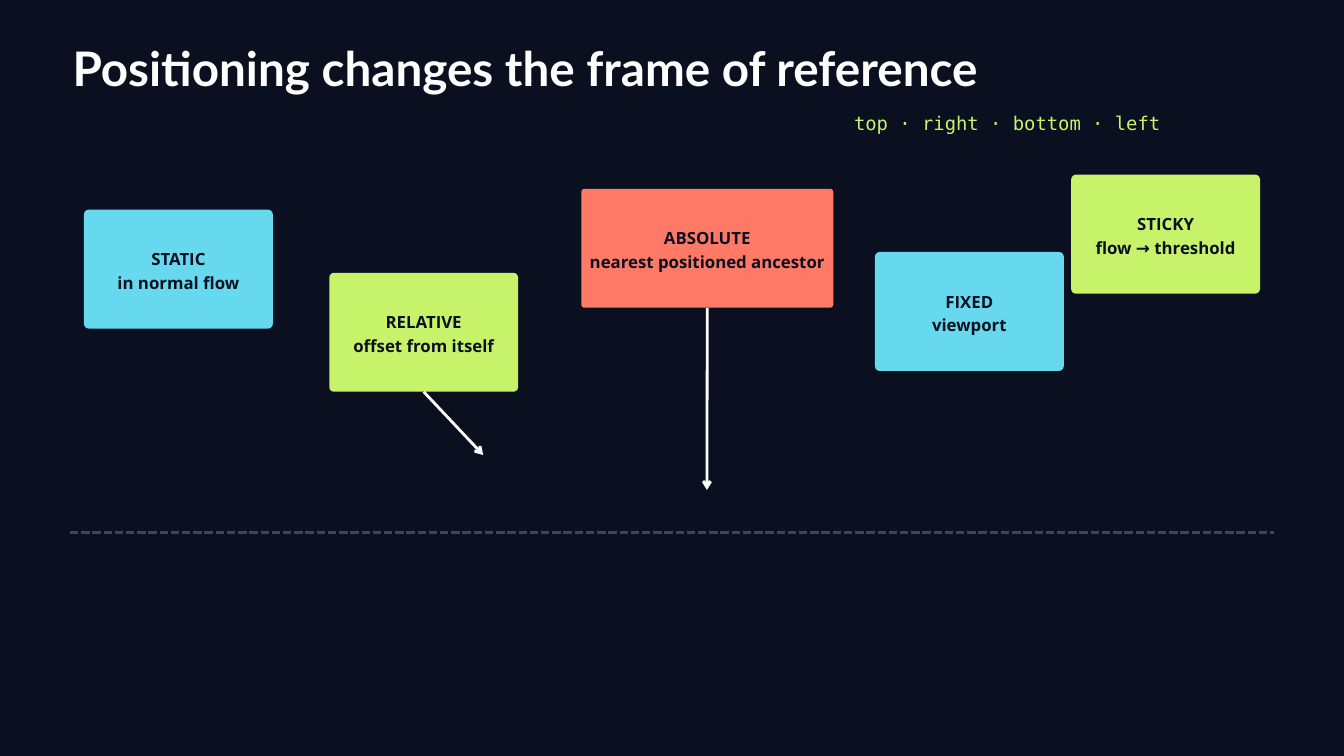
import pptx
import pptx.dml.color
import pptx.enum.dml
import pptx.enum.shapes
import pptx.enum.text
import pptx.oxml.ns
import pptx.util
from lxml import etree
from pptx.util import Inches

COLORS = {
    "navy": "0B1020",
    "cyan": "66D9EF",
    "lime": "C7F36B",
    "coral": "FF7A66",
    "white": "FFFFFF",
    "slate": "3A4565",
}
ALIGN = pptx.enum.text.PP_ALIGN
ANCHOR = pptx.enum.text.MSO_ANCHOR
CARD_HEIGHT = 1.77

# name, description, left, top, width, corner radius, color
CARDS = [
    ("STATIC", "in normal flow", 1.25, 3.12, 2.81, 0.07, "cyan"),
    ("RELATIVE", "offset from itself", 4.9, 4.06, 2.81, 0.07, "lime"),
    ("ABSOLUTE", "nearest positioned ancestor", 8.65, 2.81, 3.75, 0.05, "coral"),
    ("FIXED", "viewport", 13.02, 3.75, 2.81, 0.07, "cyan"),
    ("STICKY", "flow → threshold", 15.94, 2.6, 2.81, 0.07, "lime"),
]
# card name and the point its arrow leads to
ARROWS = {"RELATIVE": (7.19, 6.77), "ABSOLUTE": (10.52, 7.29)}


def rgb(name):
    return pptx.dml.color.RGBColor.from_string(COLORS[name])


def write_text(shape, lines, *, font, size, color, spacing, bold=False,
               align=ALIGN.LEFT, anchor=ANCHOR.TOP, inset=0):
    frame = shape.text_frame
    frame.word_wrap = True
    frame.auto_size = pptx.enum.text.MSO_AUTO_SIZE.NONE
    frame.vertical_anchor = anchor
    frame.margin_left = frame.margin_right = Inches(inset)
    frame.margin_top = frame.margin_bottom = Inches(inset)
    frame.text = "\n".join(lines)
    for paragraph in frame.paragraphs:
        paragraph.alignment = align
        paragraph.line_spacing = pptx.util.Pt(spacing)
        paragraph.space_before = pptx.util.Pt(0)
        paragraph.font.name = font
        paragraph.font.size = pptx.util.Pt(size)
        paragraph.font.bold = bold
        paragraph.font.color.rgb = rgb(color)


def add_line(slide, start, end, color):
    line = slide.shapes.add_connector(
        pptx.enum.shapes.MSO_CONNECTOR.STRAIGHT, *map(Inches, start + end))
    line.line.color.rgb = rgb(color)
    line.line.width = pptx.util.Pt(3)
    etree.SubElement(line._element.spPr, pptx.oxml.ns.qn("a:effectLst"))
    return line


def add_heading(slide, left, top, width, height):
    title = slide.shapes.title
    title.left, title.top = Inches(left), Inches(top)
    title.width, title.height = Inches(width), Inches(height)
    write_text(title, ["Positioning changes the frame of reference"],
               font="Lato", size=51, color="white", spacing=52, bold=True)


def add_offset_names(slide, left, top, width, height):
    box = slide.shapes.add_textbox(*map(Inches, (left, top, width, height)))
    write_text(box, ["top · right · bottom · left"],
               font="DejaVu Sans Mono", size=20.2, color="lime", spacing=27.3)


def add_card(slide, lines, left, top, width, height, radius, color):
    card = slide.shapes.add_shape(
        pptx.enum.shapes.MSO_SHAPE.ROUNDED_RECTANGLE,
        *map(Inches, (left, top, width, height)))
    card.adjustments[0] = radius / height
    card.shadow.inherit = False
    card.fill.solid()
    card.fill.fore_color.rgb = rgb(color)
    card.line.fill.background()
    write_text(card, lines, font="Open Sans", size=18, color="navy", spacing=25.2,
               bold=True, align=ALIGN.CENTER, anchor=ANCHOR.MIDDLE, inset=0.04)
    return card


def add_arrow(slide, card, end):
    arrow = add_line(slide, end, end, "white")
    arrow.begin_connect(card, 2)
    etree.SubElement(arrow.line._get_or_add_ln(),
                     pptx.oxml.ns.qn("a:tailEnd"), type="arrow")


def add_divider(slide, left, top, width):
    divider = add_line(slide, (left, top), (left + width, top), "slate")
    divider.line.dash_style = pptx.enum.dml.MSO_LINE.SQUARE_DOT


def main():
    presentation = pptx.Presentation()
    presentation.slide_width = Inches(20)
    presentation.slide_height = Inches(11.25)
    slide = presentation.slides.add_slide(presentation.slide_layouts[5])
    slide.background.fill.solid()
    slide.background.fill.fore_color.rgb = rgb("navy")

    # Position types
    cards = {}
    for name, description, left, top, width, radius, color in CARDS:
        cards[name] = add_card(slide, [name, description], left, top, width,
                               CARD_HEIGHT, radius, color)

    # Heading and offset properties
    add_heading(slide, 1.08, 0.71, 16.15, 0.87)
    add_offset_names(slide, 12.71, 1.62, 5.83, 0.37)

    # Divider and arrows
    add_divider(slide, 1.04, 7.92, 17.92)
    for name, end in ARROWS.items():
        add_arrow(slide, cards[name], end)

    presentation.save("out.pptx")


if __name__ == "__main__":
    main()
